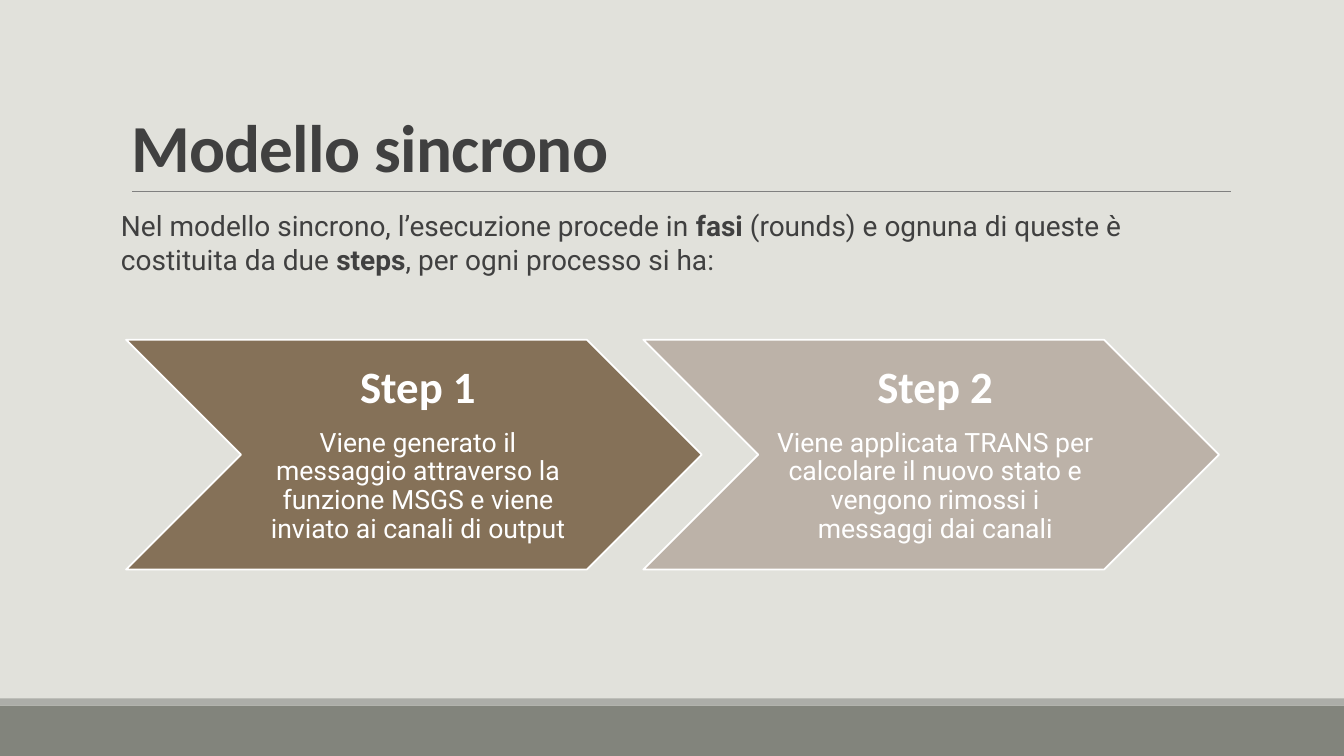
from pptx import Presentation
from pptx.dml.color import RGBColor
from pptx.enum.shapes import MSO_CONNECTOR as Link, MSO_SHAPE as Shape
from pptx.enum.text import MSO_ANCHOR as Anchor, MSO_AUTO_SIZE as Fit, PP_ALIGN as Align
from pptx.util import Pt
from lxml.etree import SubElement
from pptx.oxml.ns import qn

PX = 9144
BACK = RGBColor(0xE1, 0xE1, 0xDB)
BAR = RGBColor(0x82, 0x84, 0x7C)
STRIP = RGBColor(0xAC, 0xAD, 0xA8)
RULE = RGBColor(0x80, 0x80, 0x80)
INK = RGBColor(0x40, 0x40, 0x40)
BROWN = RGBColor(0x85, 0x71, 0x58)
SAND = RGBColor(0xBC, 0xB2, 0xA8)
WHITE = RGBColor(0xFF, 0xFF, 0xFF)
HEAD, BODY = "Calibri", "Roboto"

INTRO = [
    ("Nel modello sincrono, l’esecuzione procede in ", False),
    ("fasi", True),
    (" (rounds) e ognuna di queste è costituita da due ", False),
    ("steps", True),
    (", per ogni processo si ha:", False),
]
STEPS = [
    ("Step 1", "Viene generato il messaggio attraverso la funzione MSGS "
     "e viene inviato ai canali di output", BROWN),
    ("Step 2", "Viene applicata TRANS per calcolare il nuovo stato "
     "e vengono rimossi i messaggi dai canali", SAND),
]
LEFT, TOP, WIDE, HIGH, PITCH = 125, 337, 571, 228, 513
INSET, SPAN = 114, 342


def emu(*sizes):
    return [size * PX for size in sizes]


def place(item, *box):
    item.left, item.top, item.width, item.height = emu(*box)


def style(para, face, size, color, bold=None):
    font = para.font
    font.name, font.size, font.bold = face, Pt(size), bold
    font.color.rgb = color


def add_block(shapes, kind, box, fill, edge=None):
    block = shapes.add_shape(kind, *emu(*box))
    block.shadow.inherit = False
    block.fill.solid()
    block.fill.fore_color.rgb = fill
    if edge is None:
        block.line.fill.background()
    else:
        block.line.color.rgb = edge
        block.line.width = Pt(1.25)


def add_rule(shapes, *ends):
    rule = shapes.add_connector(Link.STRAIGHT, *emu(*ends))
    rule.line.color.rgb = RULE
    rule.line.width = Pt(0.5)
    SubElement(rule._element.spPr, qn("a:effectLst"))


def set_title(title, text):
    place(title, 120, 31, 1100, 159)
    frame = title.text_frame
    frame.auto_size = Fit.NONE
    frame.vertical_anchor = Anchor.BOTTOM
    para = frame.paragraphs[0]
    para.alignment = Align.LEFT
    para.line_spacing = 0.85
    style(para, HEAD, 48, INK, True)
    run = para.add_run()
    run.text = text
    run._r.get_or_add_rPr().set("spc", "-50")


def set_intro(body):
    place(body, 120, 202, 1100, 440)
    frame = body.text_frame
    frame.auto_size = Fit.NONE
    frame.margin_left = frame.margin_right = 0
    para = frame.paragraphs[0]
    para.space_before, para.space_after = Pt(12), Pt(2)
    style(para, BODY, 20, INK)
    props = para._p.get_or_add_pPr()
    props.set("marL", "0")
    props.set("indent", "0")
    props.insert_element_before(props.makeelement(qn("a:buNone")), "a:defRPr")
    for text, bold in INTRO:
        run = para.add_run()
        run.text = text
        run.font.bold = bold


def add_step(shapes, left, name, text, fill):
    add_block(shapes, Shape.CHEVRON, (left, TOP, WIDE, HIGH), fill, WHITE)
    label = shapes.add_textbox(*emu(left + INSET, TOP, SPAN, HIGH))
    frame = label.text_frame
    frame.word_wrap = True
    frame.vertical_anchor = Anchor.MIDDLE
    frame.margin_left, frame.margin_right = emu(14, 5)
    frame.margin_top = frame.margin_bottom = 5 * PX
    head, note = frame.paragraphs[0], frame.add_paragraph()
    head.text, note.text = name, text
    for para in (head, note):
        para.alignment = Align.CENTER
        para.line_spacing = 0.9
    head.space_after = Pt(11)
    style(head, HEAD, 32, WHITE, True)
    style(note, BODY, 19, WHITE)


def main():
    deck = Presentation()
    deck.slide_width, deck.slide_height = emu(1333, 750)
    slide = deck.slides.add_slide(deck.slide_layouts[1])
    slide.background.fill.solid()
    slide.background.fill.fore_color.rgb = BACK
    shapes = slide.shapes
    add_block(shapes, Shape.RECTANGLE, (0, 700, 1333, 50), BAR)
    add_block(shapes, Shape.RECTANGLE, (0, 693, 1333, 7), STRIP)
    add_rule(shapes, 131, 190, 1221, 190)
    set_title(shapes.title, "Modello sincrono")
    set_intro(slide.placeholders[1])
    group = shapes.add_group_shape()
    for i, step in enumerate(STEPS):
        add_step(group.shapes, LEFT + i * PITCH, *step)
    deck.save("out.pptx")


if __name__ == "__main__":
    main()
